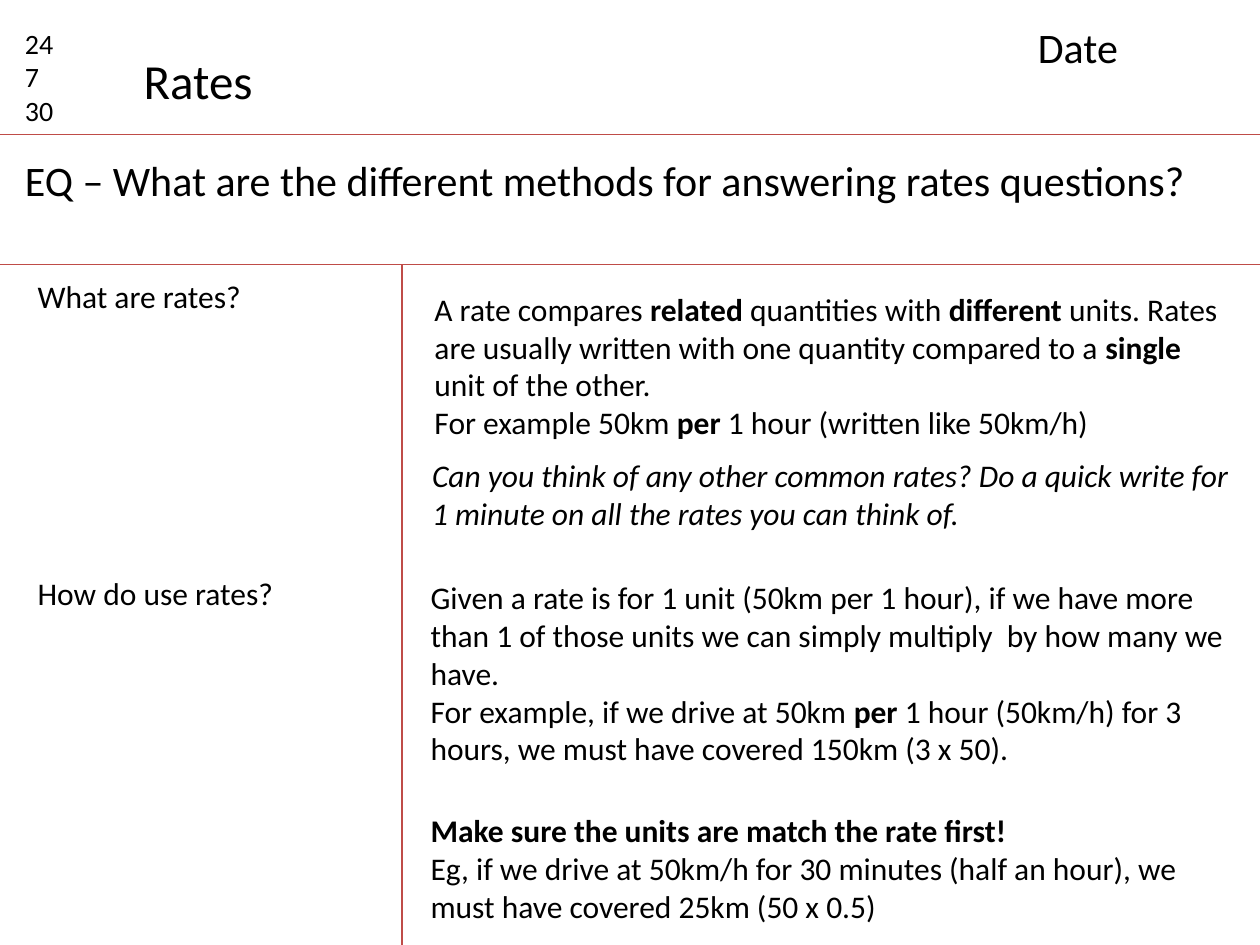
from dataclasses import dataclass

from lxml import etree
from pptx import Presentation
from pptx.dml.color import RGBColor
from pptx.enum.shapes import MSO_CONNECTOR
from pptx.enum.text import MSO_ANCHOR, MSO_AUTO_SIZE, PP_ALIGN
from pptx.oxml.ns import qn
from pptx.util import Pt

STRAIGHT = MSO_CONNECTOR.STRAIGHT
TOP = MSO_ANCHOR.TOP
LEFT = PP_ALIGN.LEFT
NO_AUTOFIT = MSO_AUTO_SIZE.NONE

COLORS = {"text": "000000", "rule": "BF4C48"}
FONT = "Calibri"
WIDTH, HEIGHT = 720, 540
HEADER_Y, QUESTION_Y, MARGIN_X = 77, 151.2, 229.7


@dataclass(frozen=True)
class Span:
    text: str
    bold: bool = False
    italic: bool = False


@dataclass(frozen=True)
class Note:
    left: float
    top: float
    width: float
    height: float
    size: float
    paragraphs: list[list[Span]]
    wrap: bool = True


@dataclass(frozen=True)
class Rule:
    x1: float
    y1: float
    x2: float
    y2: float


def plain(*lines: str) -> list[list[Span]]:
    return [[Span(line)] for line in lines]


def fill_text(shape, note: Note) -> None:
    frame = shape.text_frame
    settings = {"word_wrap": note.wrap, "auto_size": NO_AUTOFIT, "vertical_anchor": TOP}
    for name, value in settings.items():
        setattr(frame, name, value)
    for index, spans in enumerate(note.paragraphs):
        para = frame.paragraphs[0] if index == 0 else frame.add_paragraph()
        para.alignment = LEFT
        for span in spans:
            run = para.add_run()
            run.text = span.text
            look = {"name": FONT, "size": Pt(note.size), "bold": span.bold, "italic": span.italic}
            for name, value in look.items():
                setattr(run.font, name, value)
            run.font.color.rgb = RGBColor.from_string(COLORS["text"])


def add_note(page, note: Note) -> None:
    box = page.shapes.add_textbox(Pt(note.left), Pt(note.top), Pt(note.width), Pt(note.height))
    fill_text(box, note)


def set_title(page, note: Note) -> None:
    title = page.shapes.title
    for name in ("left", "top", "width", "height"):
        setattr(title, name, Pt(getattr(note, name)))
    fill_text(title, note)


def add_rule(page, rule: Rule) -> None:
    line = page.shapes.add_connector(STRAIGHT, Pt(rule.x1), Pt(rule.y1), Pt(rule.x2), Pt(rule.y2))
    line.line.color.rgb = RGBColor.from_string(COLORS["rule"])
    line.line.width = Pt(0.75)
    etree.SubElement(line._element.spPr, qn("a:effectLst"))


TITLE = Note(74.9, 25.2, 77.8, 41, 28, plain("Rates"), wrap=False)

RULES = [
    Rule(0, HEADER_Y, WIDTH, HEADER_Y),
    Rule(0, QUESTION_Y, WIDTH, QUESTION_Y),
    Rule(MARGIN_X, QUESTION_Y, MARGIN_X, HEIGHT),
]

NOTES = [
    # Header and essential question
    Note(7.2, 11.5, 45.4, 65.5, 16, plain("24", "7", "30")),
    Note(586, 8.6, 124.6, 36, 24, plain("Date")),
    Note(7.2, 85, 679, 36, 24,
         plain("EQ – What are the different methods for answering rates questions?")),
    # Left column: questions
    Note(14.4, 154.8, 131.8, 28.8, 18, plain("What are rates?"), wrap=False),
    Note(14.4, 324.7, 150.5, 28.8, 18, plain("How do use rates?"), wrap=False),
    # Right column: answers
    Note(241.2, 162, 470.9, 94.3, 18, [
        [Span("A rate compares "), Span("related", bold=True), Span(" quantities with "),
         Span("different", bold=True),
         Span(" units. Rates are usually written with one quantity compared to a "),
         Span("single", bold=True), Span(" unit of the other.")],
        [Span("For example 50km "), Span("per", bold=True),
         Span(" 1 hour (written like 50km/h)")],
    ]),
    Note(239.8, 257, 470.9, 51.1, 18, [
        [Span("Can you think of any other common rates? Do a quick write for 1 minute "
              "on all the rates you can think of.", italic=True)],
    ]),
    Note(239, 326.9, 470.9, 116.6, 18, [
        [Span("Given a rate is for 1 unit (50km per 1 hour), if we have more than 1 of those "
              "units we can simply multiply  by how many we have.")],
        [Span("For example, if we drive at 50km "), Span("per", bold=True),
         Span(" 1 hour (50km/h) for 3 hours, we must have covered 150km (3 x 50).")],
    ]),
    Note(239, 460.1, 455.8, 72.7, 18, [
        [Span("Make sure the units are match the rate first!", bold=True)],
        [Span("Eg, if we drive at 50km/h for 30 minutes (half an hour), we must have "
              "covered 25km (50 x 0.5)")],
    ]),
]


def main() -> None:
    deck = Presentation()
    deck.slide_width, deck.slide_height = Pt(WIDTH), Pt(HEIGHT)
    title_only = deck.slide_layouts.get_by_name("Title Only")
    page = deck.slides.add_slide(title_only)
    set_title(page, TITLE)
    for rule in RULES:
        add_rule(page, rule)
    for note in NOTES:
        add_note(page, note)
    deck.save("out.pptx")


if __name__ == "__main__":
    main()
